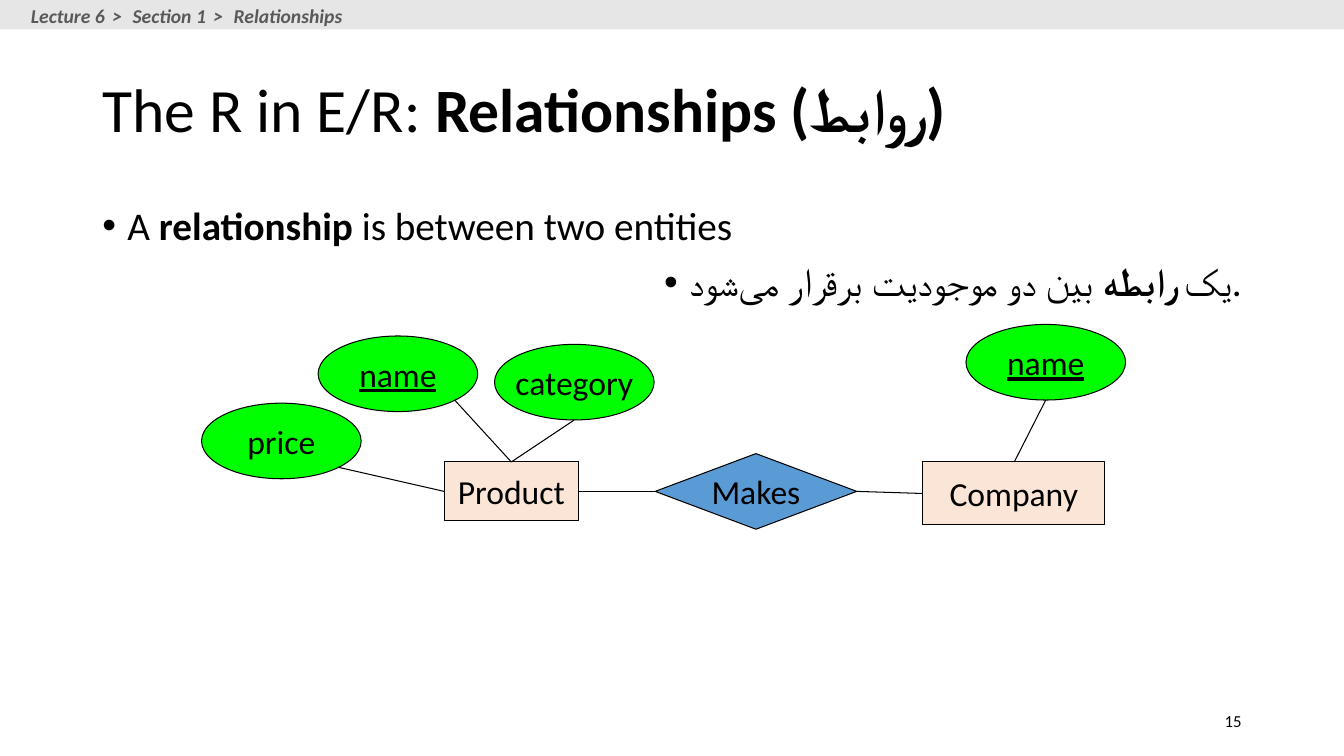
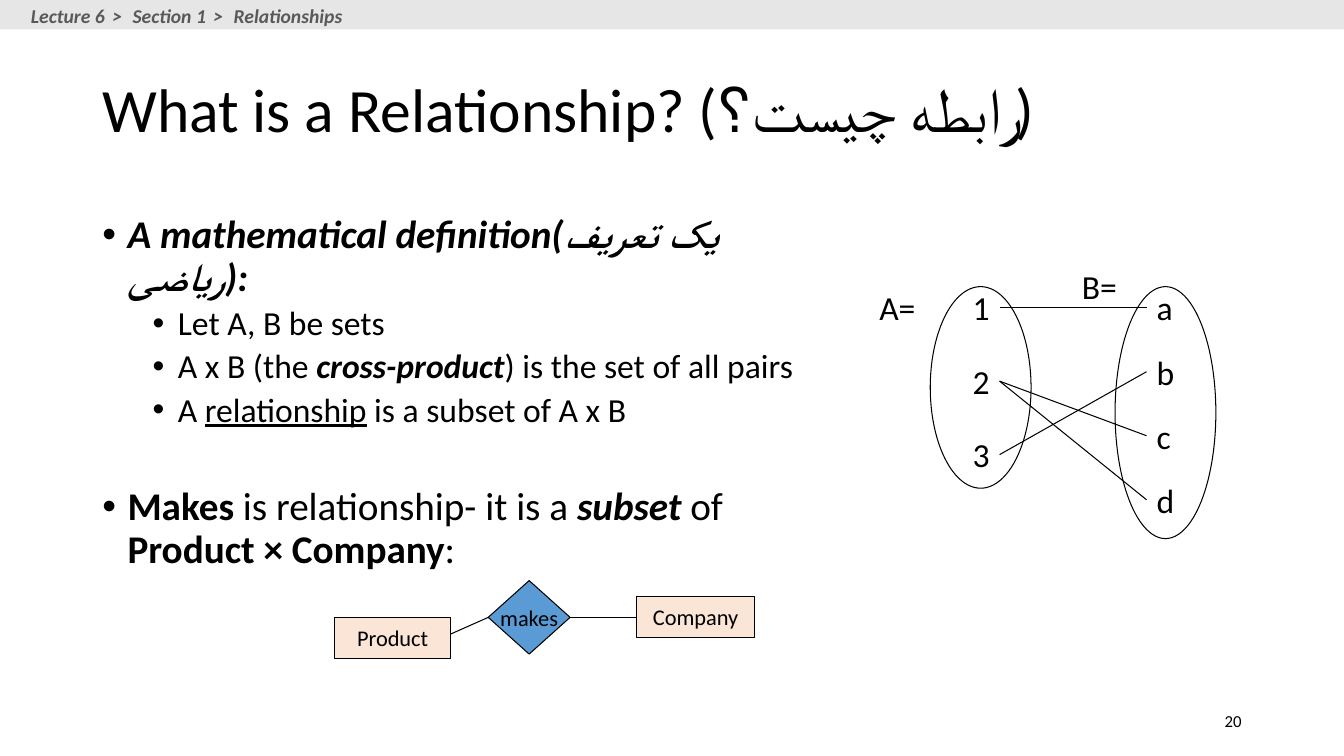
from dataclasses import dataclass
from typing import NamedTuple

from lxml import etree
from pptx import Presentation
from pptx import util as u
from pptx.dml.color import RGBColor
from pptx.enum import shapes, text
from pptx.oxml.ns import qn

# Shared look
PX = 9525
WIDE, HIGH = 1280, 720
FONT = "Calibri"
BLACK, GREY, BAND = "000000", "595959", "E7E6E6"
GREEN, PEACH, BLUE = "00FF00", "FBE5D6", "5B9BD5"
CRUMBS = ("Lecture 6", "Section 1", "Relationships")
SPLIT = chr(0x200C)  # zero-width non-joiner of Persian spelling

RECT = shapes.MSO_SHAPE.RECTANGLE
OVAL = shapes.MSO_SHAPE.OVAL
GEM = shapes.MSO_SHAPE.DIAMOND
LEFT, MID, RIGHT = text.PP_ALIGN.LEFT, text.PP_ALIGN.CENTER, text.PP_ALIGN.RIGHT
TOP, CENTRE = text.MSO_ANCHOR.TOP, text.MSO_ANCHOR.MIDDLE

# Points on a node where lines meet it, as shares of its width and height
SITES = {"top": (0.5, 0), "left": (0, 0.5), "base": (0.5, 1), "right": (1, 0.5),
         "low": (0.854, 0.854), "high": (1, 0.4)}


class Box(NamedTuple):
    x: int
    y: int
    w: int
    h: int


class Run(NamedTuple):
    words: str
    style: str = ""  # any of b, i, u
    track: int = 0   # extra letter space, 1/100 pt


@dataclass
class Para:
    runs: list[Run]
    size: int
    align: int = LEFT
    color: str = BLACK
    lines: float = 1.0
    before: int = 0
    dent: int = 0    # bullet text indent in px; 0 means no bullet


@dataclass
class Node:
    box: Box
    kind: int
    fill: str | None
    label: str = ""
    size: int = 24
    style: str = ""

    def site(self, name: str) -> tuple[int, int]:
        dx, dy = SITES[name]
        return round(self.box.x + dx * self.box.w), round(self.box.y + dy * self.box.h)


def px(n: int) -> u.Emu:
    return u.Emu(n * PX)


def rgb(code: str) -> RGBColor:
    return RGBColor.from_string(code)


# Text
def write(frame, paras: list[Para], anchor=TOP, wrap: bool = True) -> None:
    frame.word_wrap = wrap
    frame.vertical_anchor = anchor
    for n, item in enumerate(paras):
        para = frame.add_paragraph() if n else frame.paragraphs[0]
        para.alignment = item.align
        para.line_spacing = item.lines
        para.space_before = u.Pt(item.before)
        if item.dent:
            props = para._p.get_or_add_pPr()
            props.set("marL", str(px(item.dent)))
            props.set("indent", str(px(-24)))
            etree.SubElement(props, qn("a:buFont")).set("typeface", "Arial")
            etree.SubElement(props, qn("a:buChar")).set("char", "•")
        for part in item.runs:
            run = para.add_run()
            run.text = part.words
            font = run.font
            font.name, font.size = FONT, u.Pt(item.size)
            font.color.rgb = rgb(item.color)
            font.bold, font.italic = "b" in part.style, "i" in part.style
            font.underline = "u" in part.style
            if part.track:
                font._element.set("spc", str(part.track))


def note(slide, box: Box, paras: list[Para], anchor=TOP, wrap: bool = True) -> None:
    shape = slide.shapes.add_textbox(*map(px, box))
    write(shape.text_frame, paras, anchor, wrap)


def mark(slide, box: Box, words: str) -> None:
    note(slide, box, [Para([Run(words)], 24)], wrap=False)


def point(*runs: Run, align=LEFT, before: int = 10) -> Para:
    return Para(list(runs), 28, align, lines=0.9, before=before, dent=24)


def sub(*runs: Run) -> Para:
    return Para(list(runs), 24, lines=0.9, before=5, dent=72)


# Shapes and lines
def draw(slide, node: Node, edge: bool = True) -> Node:
    shape = slide.shapes.add_shape(node.kind, *map(px, node.box))
    shape.shadow.inherit = False
    if node.fill:
        shape.fill.solid()
        shape.fill.fore_color.rgb = rgb(node.fill)
    else:
        shape.fill.background()
    if edge:
        shape.line.color.rgb = rgb(BLACK)
        shape.line.width = u.Pt(0.75)
    else:
        shape.line.fill.background()
    if node.label:
        label = Para([Run(node.label, node.style)], node.size, MID)
        write(shape.text_frame, [label], CENTRE, wrap=False)
    return node


def link(slide, start: tuple[int, int], end: tuple[int, int]) -> None:
    line = slide.shapes.add_connector(shapes.MSO_CONNECTOR.STRAIGHT,
                                      *map(px, (*start, *end)))
    line.line.color.rgb = rgb(BLACK)
    line.line.width = u.Pt(0.75)
    etree.SubElement(line._element.spPr, qn("a:effectLst"))


def tie(slide, a: Node, out: str, b: Node, into: str) -> None:
    link(slide, a.site(out), b.site(into))


# Frame of every slide: band, trail, title, page number
def start(deck, title: list[Run], page: int):
    slide = deck.slides.add_slide(deck.slide_layouts[6])
    draw(slide, Node(Box(0, 0, WIDE, 28), RECT, BAND), edge=False)
    trail = []
    for crumb in CRUMBS:
        if trail:
            trail.append(Run(" > ", "bi", 210))
        trail.append(Run(crumb, "bi"))
    note(slide, Box(20, 0, 319, 30), [Para(trail, 14, color=GREY)], CENTRE, wrap=False)
    note(slide, Box(88, 38, 1104, 139), [Para(title, 44, lines=0.9)], CENTRE)
    note(slide, Box(904, 667, 288, 38), [Para([Run(str(page))], 12, RIGHT)], CENTRE)
    return slide


def intro(deck) -> None:
    slide = start(deck, [Run("The R in E/R: "), Run("Relationships (روابط)", "b")], 15)
    note(slide, Box(88, 192, 1104, 120), [
        point(Run("A "), Run("relationship", "b"), Run(" is between two entities")),
        point(Run("یک "), Run("رابطه", "b"),
              Run(SPLIT.join((" بین دو موجودیت برقرار می", "شود."))), align=RIGHT),
    ])

    # Entities and the relationship
    product = draw(slide, Node(Box(423, 440, 128, 56), RECT, PEACH, "Product"))
    company = draw(slide, Node(Box(879, 440, 173, 60), RECT, PEACH, "Company"))
    makes = draw(slide, Node(Box(624, 432, 192, 72), GEM, BLUE, "Makes"))
    tie(slide, product, "right", makes, "left")
    tie(slide, makes, "right", company, "left")

    # Attributes, each tied to its entity
    for x, y, label, style, out, owner, into in (
        (303, 320, "name", "u", "low", product, "top"),
        (471, 328, "category", "", "base", product, "top"),
        (192, 384, "price", "", "low", product, "left"),
        (920, 309, "name", "u", "base", company, "top"),
    ):
        trait = draw(slide, Node(Box(x, y, 152, 72), OVAL, GREEN, label, style=style))
        tie(slide, trait, out, owner, into)


def define(deck) -> None:
    slide = start(deck, [Run("What is a Relationship? (رابطه چیست؟)")], 20)
    note(slide, Box(88, 200, 730, 469), [
        point(Run("A mathematical definition(یک تعریف ریاضی):", "bi")),
        sub(Run("Let A, B be sets")),
        sub(Run("A x B (the "), Run("cross-product", "bi"),
            Run(") is the set of all pairs")),
        sub(Run("A "), Run("relationship", "u"), Run(" is a subset of A x B")),
        point(Run("Makes ", "b"), Run("is relationship- it is a "), Run("subset", "bi"),
              Run(" of "), Run("Product × Company", "b"), Run(":"), before=41),
    ])

    # Two sets with their members
    draw(slide, Node(Box(886, 273, 96, 192), OVAL, None))
    draw(slide, Node(Box(1062, 273, 96, 240), OVAL, None))
    mark(slide, Box(828, 269, 60, 48), "A=")
    mark(slide, Box(1021, 249, 59, 48), "B=")
    spots = {}
    for names, x, step, edge in (("123", 917, 70, 952), ("abcd", 1092, 61, 1092)):
        for n, name in enumerate(names):
            y = 269 + n * step
            mark(slide, Box(x, y, 36, 48), name)
            spots[name] = (edge, y + 24)
    for a, b in ("1a", "2c", "2d", "3b"):
        link(slide, spots[a], spots[b])

    # Small diagram
    makes = draw(slide, Node(Box(465, 553, 78, 70), GEM, BLUE, "makes", 16))
    company = draw(slide, Node(Box(606, 568, 113, 39), RECT, PEACH, "Company", 16))
    product = draw(slide, Node(Box(319, 588, 110, 39), RECT, PEACH, "Product", 16))
    tie(slide, makes, "right", company, "left")
    tie(slide, makes, "left", product, "high")


def main() -> None:
    deck = Presentation()
    deck.slide_width, deck.slide_height = px(WIDE), px(HIGH)
    intro(deck)
    define(deck)
    deck.save("out.pptx")


if __name__ == "__main__":
    main()
